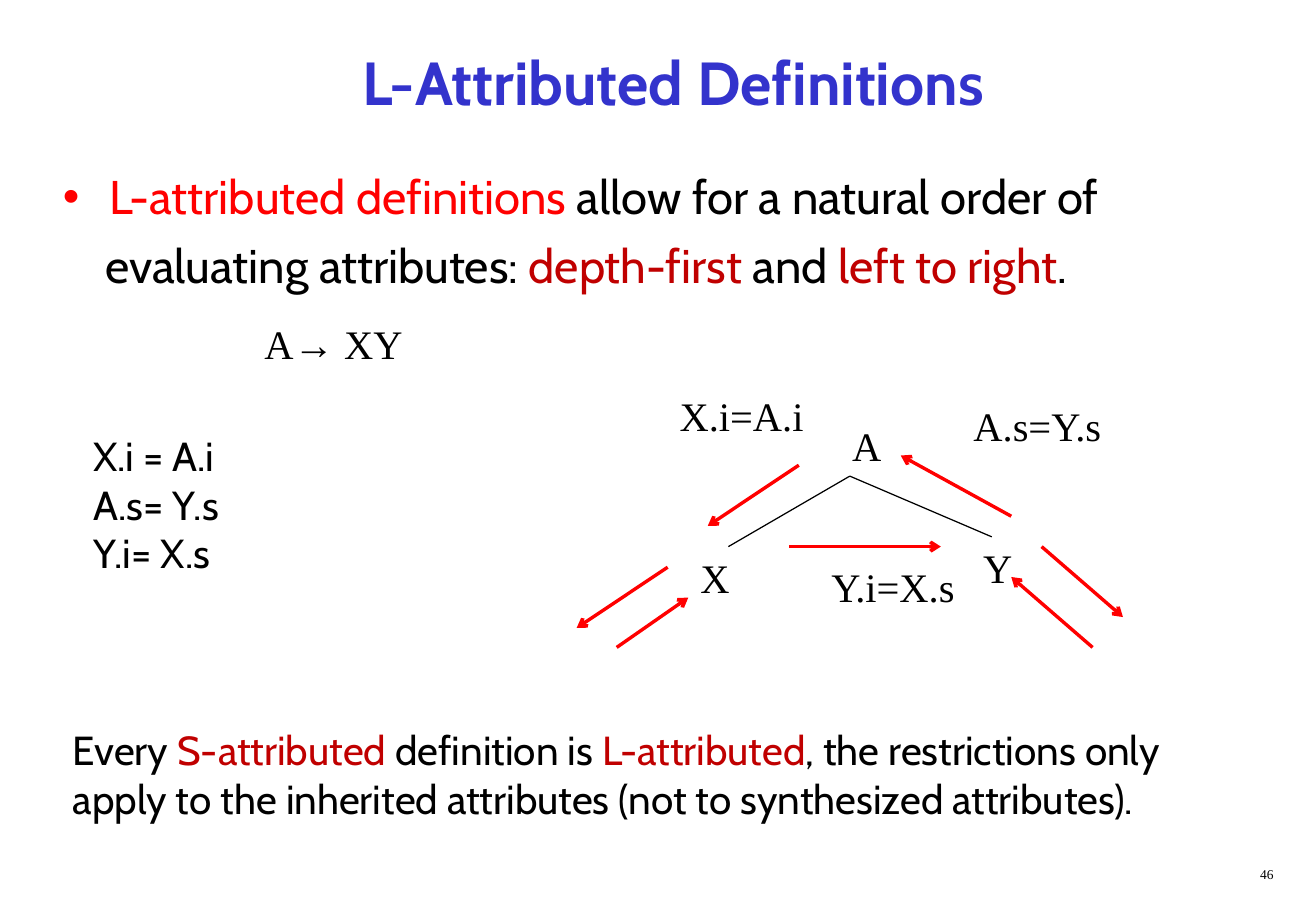
from pptx import Presentation
from pptx.dml.color import RGBColor
from pptx.enum.shapes import MSO_CONNECTOR
from pptx.enum.text import MSO_ANCHOR, PP_ALIGN
from pptx.oxml.ns import qn
from pptx.util import Inches, Pt
from lxml import etree

LINE = MSO_CONNECTOR.STRAIGHT
TOP, MIDDLE = MSO_ANCHOR.TOP, MSO_ANCHOR.MIDDLE
LEFT, CENTER, RIGHT = PP_ALIGN.LEFT, PP_ALIGN.CENTER, PP_ALIGN.RIGHT

INK = {"black": "000000", "blue": "3333CC", "red": "FF0000", "dark": "C00000"}
SANS, SERIF, ARROW = "Cabin", "Times New Roman", "Arial"

# Content: each paragraph is a list of (text, colour) runs
TITLE = [[("L-Attributed Definitions", "blue")]]
BODY = [
    [("L-attributed definitions", "red"),
     (" allow for a natural order of", "black")],
    [("evaluating attributes: ", "black"), ("depth-first", "dark"),
     (" and ", "black"), ("left to right", "dark"), (".", "black")],
]
RULES = [[(rule, "black")] for rule in ("X.i = A.i", "A.s= Y.s", "Y.i= X.s")]
NOTE = [[
    ("Every ", "black"), ("S-attributed", "dark"),
    (" definition is ", "black"), ("L-attributed", "dark"),
    (", the restrictions only apply to the inherited attributes "
     "(not to synthesized attributes).", "black"),
]]
PAGE = [[("46", "black")]]

# Tree labels: text, left, top
LABELS = [
    ("A", 6.92, 3.42), ("X", 5.67, 4.5), ("Y", 8, 4.42),
    ("X.i=A.i", 5.5, 3.17), ("A.s=Y.s", 7.92, 3.25), ("Y.i=X.s", 6.75, 4.58),
]
# Tree lines: start x, start y, end x, end y
EDGES = [(7, 3.92, 6, 4.5), (7, 3.92, 8.17, 4.42)]
FLOWS = [
    (6.58, 3.83, 5.83, 4.33), (8.33, 4.25, 7.42, 3.75),
    (6.5, 4.5, 7.75, 4.5), (5.5, 4.67, 4.75, 5.17),
    (5.08, 5.33, 5.67, 4.92), (8.58, 4.5, 9.25, 5.08),
    (9, 5.33, 8.33, 4.75),
]

deck = Presentation()
deck.slide_width, deck.slide_height = Inches(10.84), Inches(7.5)
slide = deck.slides.add_slide(deck.slide_layouts[6])


def add_run(para, text, ink, size, face, bold=False):
    run = para.add_run()
    run.text = text
    font = run.font
    font.size, font.name, font.bold = Pt(size), face, bold
    font.color.rgb = RGBColor.from_string(INK[ink])


def add_text(paras, x, y, w, h, size, face=SANS, bold=False,
             align=LEFT, anchor=TOP):
    box = slide.shapes.add_textbox(Inches(x), Inches(y), Inches(w), Inches(h))
    frame = box.text_frame
    frame.word_wrap = True
    frame.vertical_anchor = anchor
    for i, runs in enumerate(paras):
        para = frame.add_paragraph() if i else frame.paragraphs[0]
        para.alignment = align
        for text, ink in runs:
            add_run(para, text, ink, size, face, bold)
    return frame


def add_line(ends, ink, width, head=False):
    line = slide.shapes.add_connector(LINE, *[Inches(v) for v in ends])
    line.line.color.rgb = RGBColor.from_string(INK[ink])
    line.line.width = Pt(width)
    if head:
        etree.SubElement(line.line._get_or_add_ln(), qn("a:tailEnd"),
                         type="arrow")
    etree.SubElement(line._element.spPr, qn("a:effectLst"))


# Title and page number
add_text(TITLE, 0.42, 0.17, 10.25, 1, 36, bold=True,
         align=CENTER, anchor=MIDDLE)
add_text(PAGE, 8.33, 7.08, 2.26, 0.25, 8, SERIF, align=RIGHT)

# Bulleted statement, with its second line indented under the first
first, second = add_text(BODY, 0.42, 1.33, 9.67, 2, 28).paragraphs
props = first._p.get_or_add_pPr()
props.set("marL", str(Inches(0.38)))
props.set("indent", str(Inches(-0.38)))
tint = etree.SubElement(props, qn("a:buClr"))
etree.SubElement(tint, qn("a:srgbClr"), val=INK["red"])
etree.SubElement(props, qn("a:buFont"), typeface=ARROW)
etree.SubElement(props, qn("a:buChar"), char="•")
second._p.get_or_add_pPr().set("marL", str(Inches(0.35)))
second.space_before = Pt(7)

# Production and its rules
prod = add_text([[("A", "black")]], 2.08, 2.58, 2, 0.9, 24, SERIF)
add_run(prod.paragraphs[0], "→", "black", 24, ARROW)
add_run(prod.paragraphs[0], " XY", "black", 24, SERIF)
add_text(RULES, 0.67, 3.5, 2, 1.3, 24)

# Tree with the flow of attributes
for edge in EDGES:
    add_line(edge, "black", 0.75)
for flow in FLOWS:
    add_line(flow, "red", 2, head=True)
for text, x, y in LABELS:
    add_text([[(text, "black")]], x, y, 1.33, 0.5, 24, SERIF)

# Closing remark
add_text(NOTE, 0.5, 5.92, 9.75, 1, 24)

deck.save("out.pptx")
